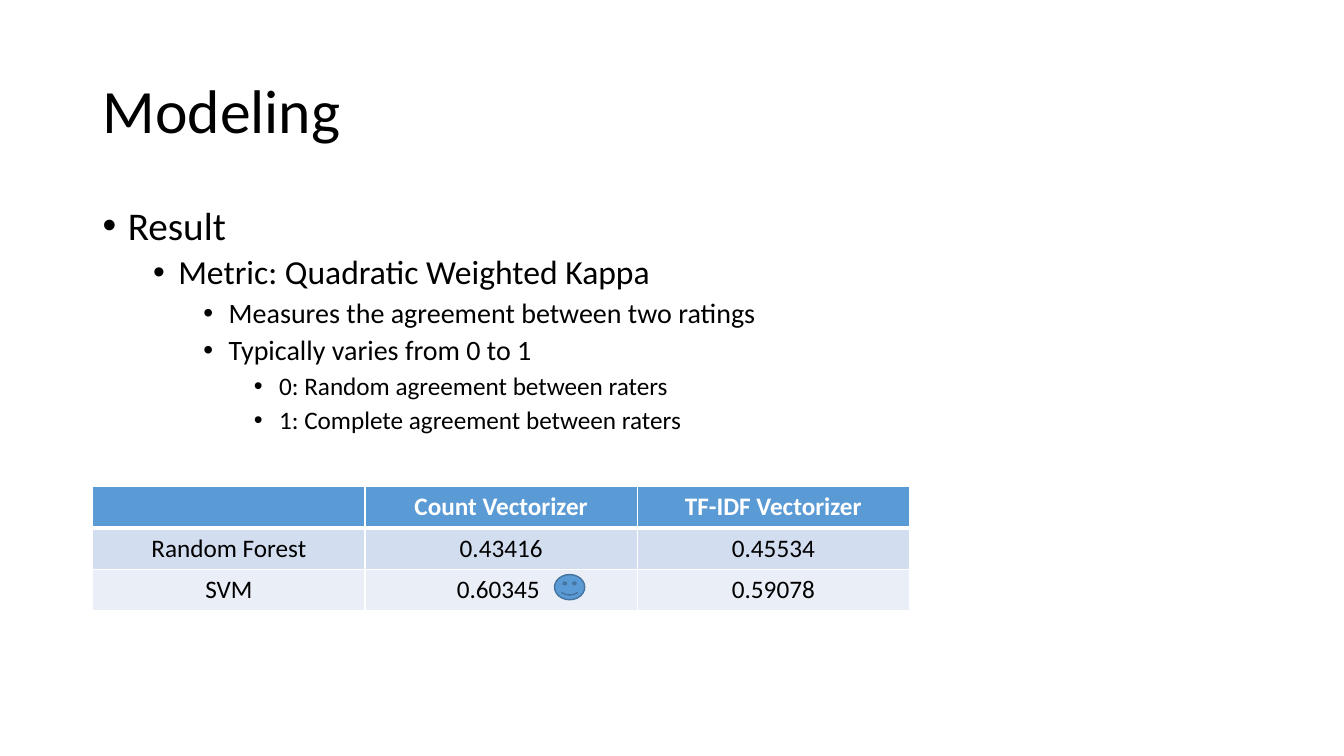
from lxml import etree
from pptx import Presentation
from pptx.dml.color import RGBColor
from pptx.enum.shapes import MSO_SHAPE
from pptx.enum.text import MSO_ANCHOR, PP_ALIGN
from pptx.oxml.ns import qn
from pptx.util import Inches, Pt

SMILEY = MSO_SHAPE.SMILEY_FACE
TOP, MIDDLE = MSO_ANCHOR.TOP, MSO_ANCHOR.MIDDLE
LEFT, CENTER = PP_ALIGN.LEFT, PP_ALIGN.CENTER

COLORS = {
    "text": "000000",
    "white": "FFFFFF",
    "accent": "5B9BD5",
    "outline": "43739E",
    "band_dark": "D2DEEF",
    "band_light": "EAEFF7",
}

RESULT_POINTS = [
    (0, "Result"),
    (1, "Metric: Quadratic Weighted Kappa"),
    (2, "Measures the agreement between two ratings"),
    (2, "Typically varies from 0 to 1"),
    (3, "0: Random agreement between raters"),
    (3, "1: Complete agreement between raters"),
]
LEVEL_SIZES = [28, 24, 20, 18]

SCORES = [
    ["", "Count Vectorizer", "TF-IDF Vectorizer"],
    ["Random Forest", "0.43416", "0.45534"],
    ["SVM", "0.60345 ", "0.59078"],
]
ROW_FILLS = ["accent", "band_dark", "band_light"]


def color(name):
    return RGBColor.from_string(COLORS[name])


def write(para, text, size=18, fill="text", bold=False, align=LEFT,
          spacing=None, before=0, level=None):
    para.alignment = align
    para.line_spacing = spacing
    para.space_before = Pt(before)
    if level is not None:
        para.level = level
        properties = para._p.get_or_add_pPr()
        properties.set("marL", str(Inches(0.25 + 0.5 * level)))
        properties.set("indent", str(Inches(-0.25)))
        etree.SubElement(properties, qn("a:buFont"), typeface="Arial")
        etree.SubElement(properties, qn("a:buChar"), char="•")
    if text:
        span = para.add_run()
        span.text = text
        span.font.name = "Calibri"
        span.font.size = Pt(size)
        span.font.bold = bold
        span.font.color.rgb = color(fill)


class SlideBuilder:
    def __init__(self, page):
        self.page = page

    def text_box(self, left, top, width, height, anchor=TOP):
        box = self.page.shapes.add_textbox(
            Inches(left), Inches(top), Inches(width), Inches(height))
        frame = box.text_frame
        frame.word_wrap = True
        frame.vertical_anchor = anchor
        return frame

    def title(self, text):
        frame = self.text_box(0.92, 0.4, 11.5, 1.45, MIDDLE)
        write(frame.paragraphs[0], text, size=44, spacing=0.9)

    def bullets(self, points):
        frame = self.text_box(0.92, 2, 11.5, 4.76)
        for index, (level, text) in enumerate(points):
            para = frame.add_paragraph() if index else frame.paragraphs[0]
            write(para, text, size=LEVEL_SIZES[level], spacing=0.9,
                  before=5 if index else 0, level=level)

    def borders(self, cell, widths):
        properties = cell._tc.get_or_add_tcPr()
        for side, width in widths.items():
            line = etree.SubElement(properties, qn(f"a:ln{side}"), w=str(Pt(width)))
            solid = etree.SubElement(line, qn("a:solidFill"))
            etree.SubElement(solid, qn("a:srgbClr"), val=COLORS["white"])

    def table(self, rows, left, top, column_width, row_height):
        columns = len(rows[0])
        table = self.page.shapes.add_table(
            len(rows), columns, Inches(left), Inches(top),
            Inches(column_width * columns), Inches(row_height * len(rows))).table
        for column in table.columns:
            column.width = Inches(column_width)
        for row_index, values in enumerate(rows):
            table.rows[row_index].height = Inches(row_height)
            header = row_index == 0
            widths = {"L": 1, "R": 1, "T": 3 if row_index == 1 else 1,
                      "B": 3 if header else 1}
            for column_index, text in enumerate(values):
                cell = table.cell(row_index, column_index)
                self.borders(cell, widths)
                cell.fill.solid()
                cell.fill.fore_color.rgb = color(ROW_FILLS[row_index])
                write(cell.text_frame.paragraphs[0], text, bold=header,
                      fill="white" if header else "text", align=CENTER)

    def smiley(self, left, top, width, height):
        face = self.page.shapes.add_shape(
            SMILEY, Inches(left), Inches(top), Inches(width), Inches(height))
        face.shadow.inherit = False
        face.fill.solid()
        face.fill.fore_color.rgb = color("accent")
        face.line.color.rgb = color("outline")
        face.line.width = Pt(1)


def main():
    deck = Presentation()
    deck.slide_width = Inches(13.33)
    deck.slide_height = Inches(7.5)
    builder = SlideBuilder(deck.slides.add_slide(deck.slide_layouts[6]))
    builder.title("Modeling")
    builder.bullets(RESULT_POINTS)
    builder.table(SCORES, left=0.92, top=4.83, column_width=2.7, row_height=0.41)
    builder.smiley(5.5, 5.7, 0.3, 0.25)
    deck.save("out.pptx")


if __name__ == "__main__":
    main()
